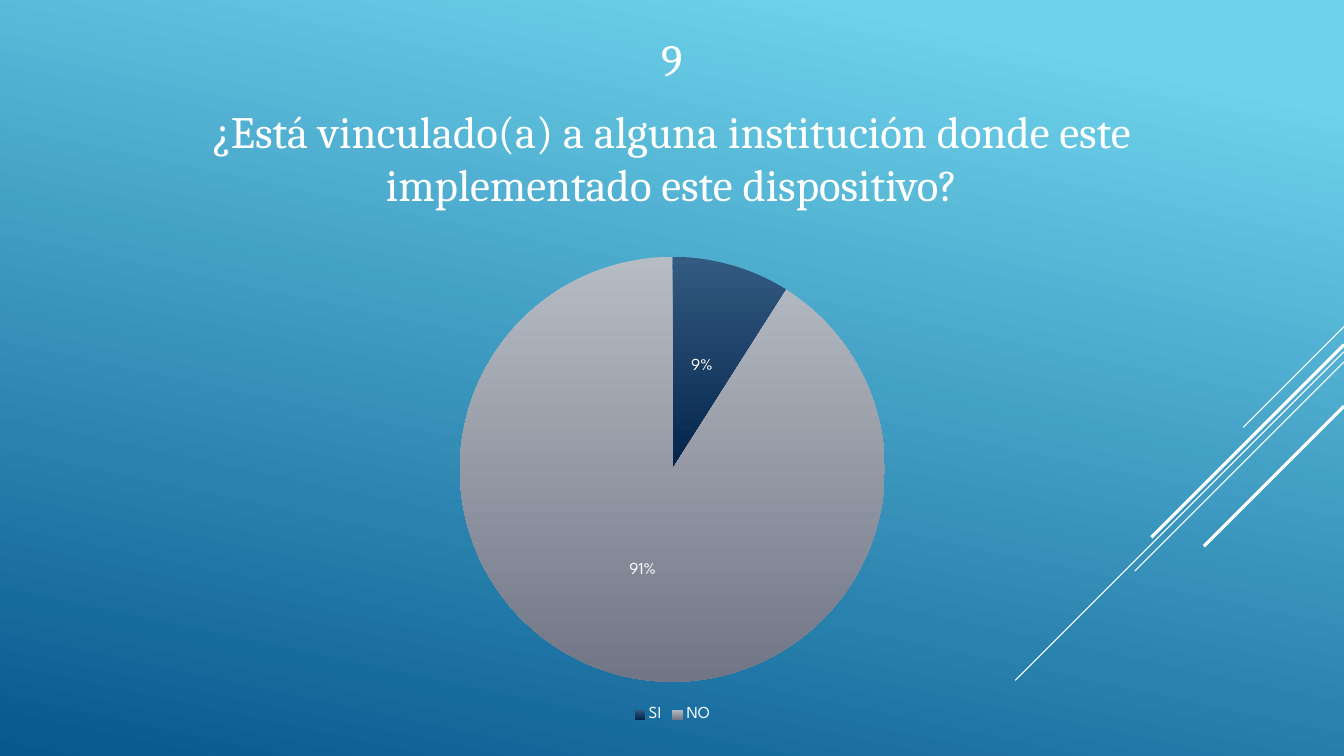
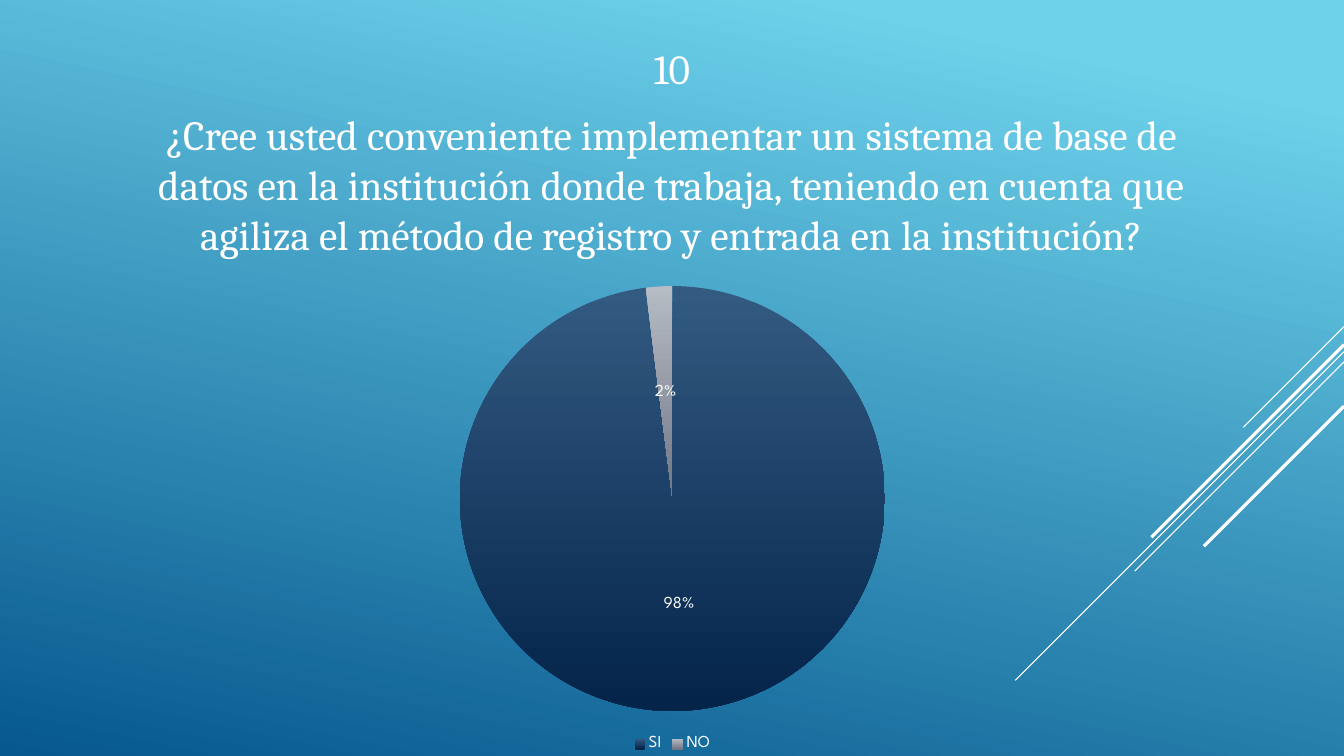
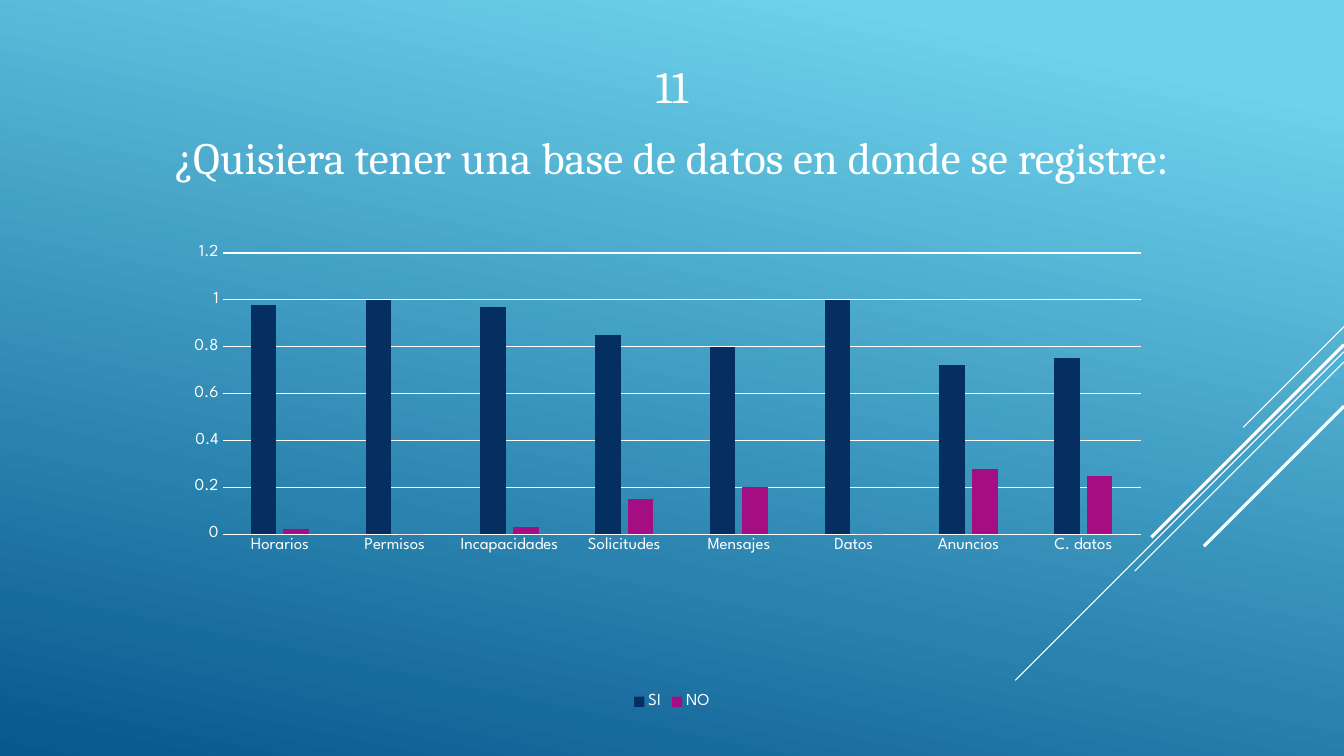
from collections import namedtuple

from lxml.etree import SubElement
from pptx import Presentation
from pptx.chart.data import CategoryChartData
from pptx.dml.color import RGBColor
from pptx.enum.chart import (XL_CHART_TYPE, XL_LABEL_POSITION,
                             XL_LEGEND_POSITION, XL_TICK_MARK)
from pptx.enum.shapes import MSO_CONNECTOR
from pptx.enum.text import MSO_ANCHOR, PP_ALIGN
from pptx.oxml import parse_xml
from pptx.oxml.ns import nsdecls, qn
from pptx.util import Inches, Pt

COLORS = {
    "white": "FFFFFF",
    "sky": "6ED2EB", "ocean": "06588E",
    "navy_top": "335A81", "navy_bottom": "04244A",
    "gray_top": "B6BCC4", "gray_bottom": "717686",
    "yes": "052F61", "no": "A50E82",
}
TITLE_FONT = "Cambria"
CHART_FONT = "League Spartan"
WIDTH, HEIGHT = Inches(13.333), Inches(7.5)

# Boxes are percentages of the slide's width and height.
Box = namedtuple("Box", "left top width height")
QUESTION_BOX = Box(8.1, 0, 83.78, 32.13)
PIE_BOX = Box(23.63, 32.13, 52.8, 64)
COLUMN_BOX = Box(13.65, 30.27, 72.68, 64.13)

# Diagonals at 45 degrees: start height and drop (% of slide height), points.
DIAGONALS = [(43.2, 13.33, 0.75), (46.53, 43.47, 0.75), (47.87, 27.67, 0.75),
             (45.6, 25.47, 2.25), (53.73, 18.53, 2.25)]


def color(name):
    """Return the named colour."""
    return RGBColor.from_string(COLORS[name])


def place(box):
    """Turn a percentage box into slide lengths."""
    return [int(share * side / 100)
            for share, side in zip(box, (WIDTH, HEIGHT, WIDTH, HEIGHT))]


def shift(box, down):
    """Move a box down by a share of the slide's height."""
    return box._replace(top=box.top + down)


def set_gradient(fill, names, clockwise_angle, first_stop=0):
    """Fill with two colours along a clockwise angle."""
    fill.gradient()
    fill.gradient_angle = 360 - clockwise_angle
    for stop, name, position in zip(fill.gradient_stops, names, (first_stop, 1)):
        stop.color.rgb = color(name)
        stop.position = position


def set_font(font, name, size):
    """Set a white font."""
    font.name, font.size = name, Pt(size)
    font.color.rgb = color("white")


def set_line(line, width):
    """Set a white line."""
    line.color.rgb = color("white")
    line.width = Pt(width)


def add_base_slide(presentation):
    """Add a slide with the shared background and corner diagonals."""
    slide = presentation.slides.add_slide(presentation.slide_layouts[6])
    set_gradient(slide.background.fill, ("sky", "ocean"), 102, 0.1)
    for start, drop, width in DIAGONALS:
        top, length = int(start * HEIGHT / 100), int(drop * HEIGHT / 100)
        connector = slide.shapes.add_connector(
            MSO_CONNECTOR.STRAIGHT, WIDTH, top, WIDTH - length, top + length)
        set_line(connector.line, width)
        SubElement(connector.element.spPr, qn("a:effectLst"))
    return slide


def add_question(slide, box, number, question, size=32):
    """Write the number and its question, centred in the box."""
    frame = slide.shapes.add_textbox(*place(box)).text_frame
    frame.word_wrap = True
    frame.vertical_anchor = MSO_ANCHOR.MIDDLE
    frame.text = f"{number}\n{question}"
    for paragraph in frame.paragraphs:
        paragraph.alignment = PP_ALIGN.CENTER
        paragraph.space_before = Pt(size * 0.2)
        paragraph.space_after = Pt(6)
        set_font(paragraph.font, TITLE_FONT, size)


def add_base_chart(slide, box, chart_type, categories, series):
    """Add a chart with the shared font and bottom legend."""
    data = CategoryChartData()
    data.categories = categories
    for name, values in series.items():
        data.add_series(name, values)
    chart = slide.shapes.add_chart(chart_type, *place(box), data).chart
    chart.has_title = False
    set_font(chart.font, CHART_FONT, 10)
    chart.has_legend = True
    chart.legend.position = XL_LEGEND_POSITION.BOTTOM
    chart.legend.include_in_layout = False
    set_font(chart.legend.font, CHART_FONT, 12)
    return chart


def add_pie(slide, box, values):
    """Add a yes/no pie with percentages."""
    chart = add_base_chart(slide, box, XL_CHART_TYPE.PIE, ["SI", "NO"],
                           {"Series 1": values})
    plot = chart.plots[0]
    plot.vary_by_categories = True
    for index, shade in enumerate(("navy", "gray")):
        set_gradient(plot.series[0].points[index].format.fill,
                     (f"{shade}_top", f"{shade}_bottom"), 90)
    labels = plot.series[0].data_labels
    labels.show_percentage, labels.show_value = True, False
    labels.number_format, labels.number_format_is_linked = "0%", False
    labels.position = XL_LABEL_POSITION.CENTER
    set_font(labels.font, CHART_FONT, 12)


def set_plot_area(chart, x, y, w, h):
    """Fix the inner plot area, in shares of the chart."""
    area = chart.element.find(".//" + qn("c:plotArea"))
    for layout in area.findall(qn("c:layout")):
        area.remove(layout)
    sizes = "".join(f'<c:{key} val="{value}"/>' for key, value in
                    zip("xywh", (x, y, w, h)))
    area.insert(0, parse_xml(
        f'<c:layout {nsdecls("c")}><c:manualLayout>'
        '<c:layoutTarget val="inner"/><c:xMode val="edge"/>'
        f'<c:yMode val="edge"/>{sizes}</c:manualLayout></c:layout>'))


def add_columns(slide, box, categories, series):
    """Add clustered yes/no columns."""
    chart = add_base_chart(slide, box, XL_CHART_TYPE.COLUMN_CLUSTERED,
                           categories, series)
    set_plot_area(chart, 0.04, 0.05, 0.94, 0.58)
    plot = chart.plots[0]
    plot.vary_by_categories = False
    plot.gap_width, plot.overlap = 219, -27
    for column, name in zip(plot.series, ("yes", "no")):
        column.format.fill.solid()
        column.format.fill.fore_color.rgb = color(name)
    for axis in (chart.category_axis, chart.value_axis):
        axis.major_tick_mark = axis.minor_tick_mark = XL_TICK_MARK.NONE
        set_font(axis.tick_labels.font, CHART_FONT, 12)
    set_line(chart.category_axis.format.line, 0.75)
    value_axis = chart.value_axis
    value_axis.minimum_scale, value_axis.maximum_scale = 0, 1.2
    value_axis.major_unit = 0.2
    value_axis.format.line.fill.background()
    set_line(value_axis.major_gridlines.format.line, 0.75)


def add_pie_slide(presentation, number, question, values, size=32, down=0):
    """Add a question slide answered by a pie."""
    slide = add_base_slide(presentation)
    add_question(slide, shift(QUESTION_BOX, down), number, question, size)
    add_pie(slide, shift(PIE_BOX, down), values)


def add_column_slide(presentation, number, question, categories, series):
    """Add a question slide answered by columns."""
    slide = add_base_slide(presentation)
    add_question(slide, QUESTION_BOX, number, question)
    add_columns(slide, COLUMN_BOX, categories, series)


presentation = Presentation()
presentation.slide_width, presentation.slide_height = WIDTH, HEIGHT
add_pie_slide(
    presentation, 9,
    "¿Está vinculado(a) a alguna institución donde este implementado este "
    "dispositivo?", (9, 91))
add_pie_slide(
    presentation, 10,
    "¿Cree usted conveniente implementar un sistema de base de datos en la "
    "institución donde trabaja, teniendo en cuenta que agiliza el método de "
    "registro y entrada en la institución?", (98, 2), size=29.6, down=3.87)
add_column_slide(
    presentation, 11, "¿Quisiera tener una base de datos en donde se registre:",
    ["Horarios", "Permisos", "Incapacidades", "Solicitudes", "Mensajes",
     "Datos", "Anuncios", "C. datos"],
    {"SI": (0.98, 1, 0.97, 0.85, 0.8, 1, 0.72, 0.75),
     "NO": (0.02, 0, 0.03, 0.15, 0.2, 0, 0.28, 0.25)})
presentation.save("out.pptx")
